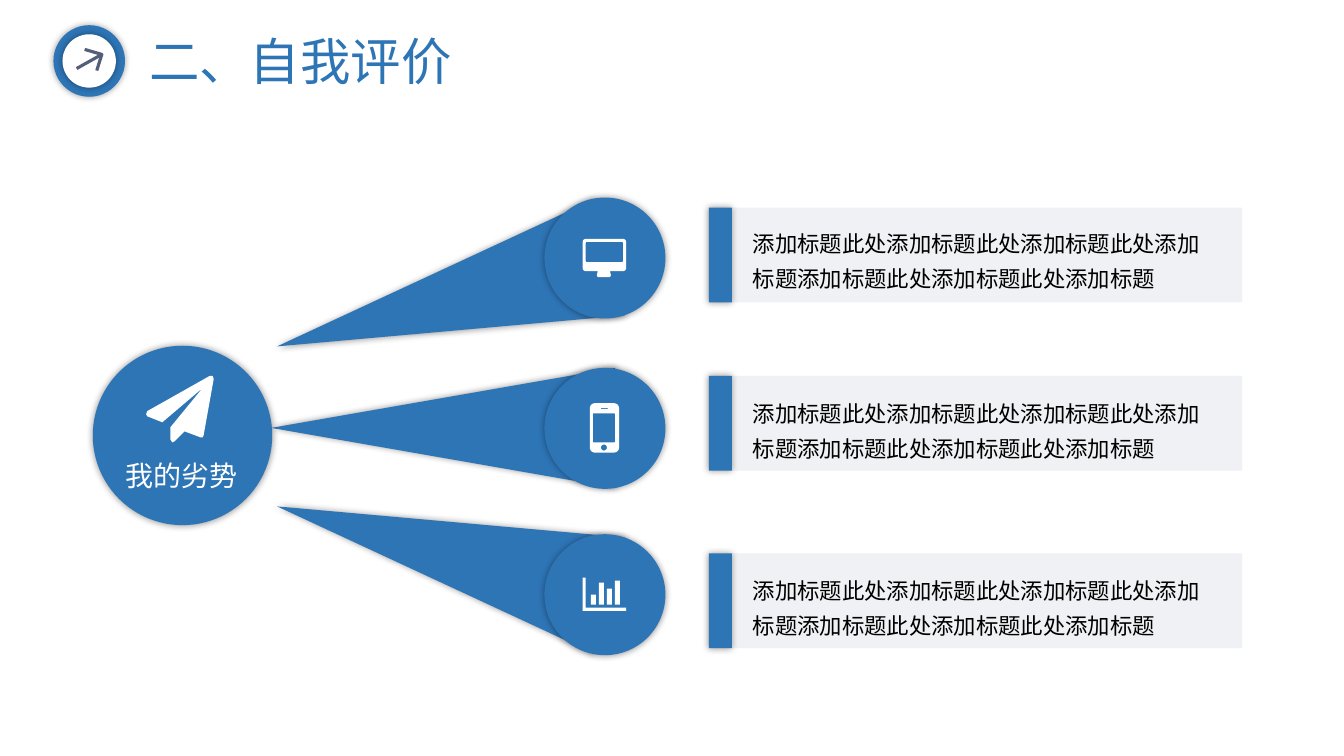
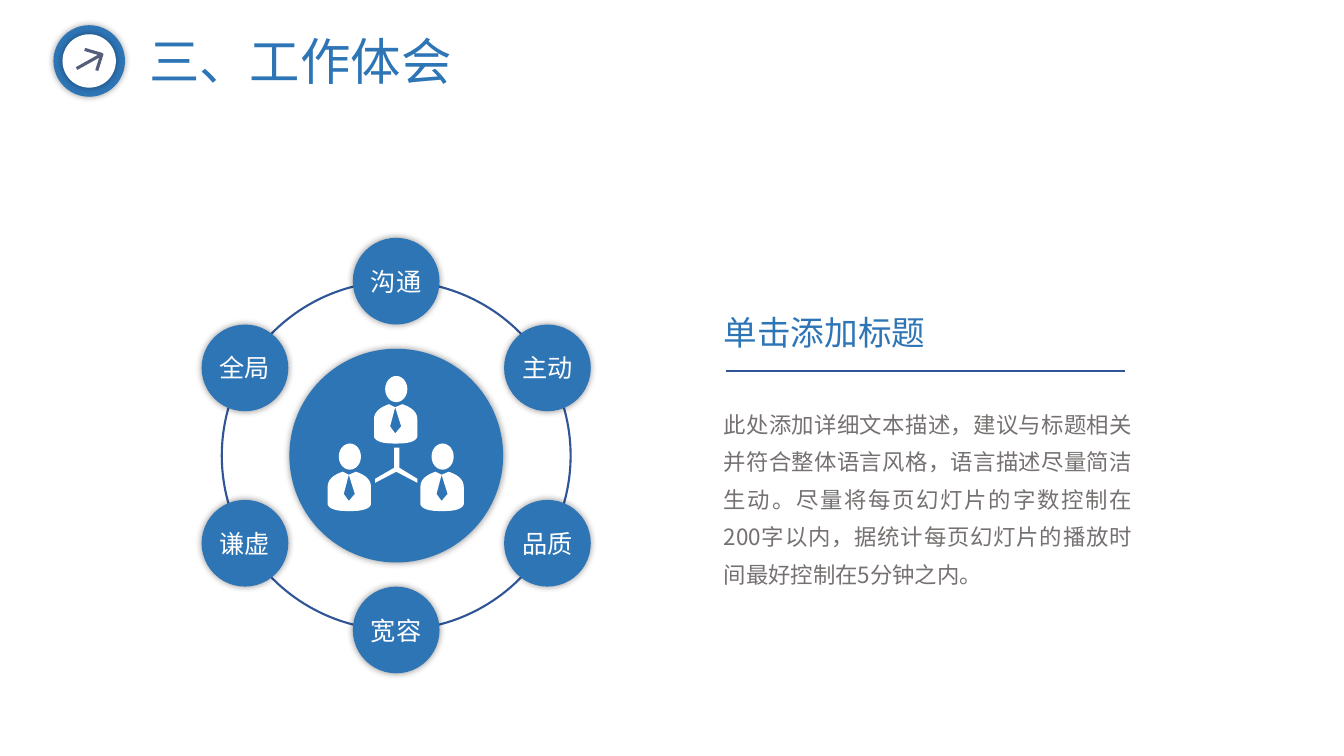
"""Builds the self-evaluation and work-experience slides."""
import math
from dataclasses import dataclass
from typing import Optional

from lxml import etree
from pptx import Presentation
from pptx.dml.color import RGBColor
from pptx.enum import shapes, text
from pptx.oxml.ns import qn
from pptx.util import Emu, Pt

PX = 9144
Point = tuple[float, float]
Contour = list[Point]
Box = tuple[int, int, int, int]
GEO = shapes.MSO_SHAPE
ALIGN = text.PP_ALIGN


@dataclass(frozen=True)
class Theme:
    blue: str = "2E75B6"
    navy: str = "2F5597"
    slate: str = "545D79"
    panel: str = "EBEEF2"
    gray: str = "767171"
    white: str = "FFFFFF"
    black: str = "000000"
    display: str = "Noto Sans CJK JP"
    body: str = "Noto Sans CJK SC"
    latin: str = "Calibri"
    label: str = "Arial"
    title_pt: int = 36
    heading_pt: int = 24
    hub_pt: int = 20
    node_pt: int = 18
    body_pt: int = 16


T = Theme()


@dataclass(frozen=True)
class Style:
    size: int
    font: str
    color: str
    align: Optional[ALIGN] = None
    spacing: Optional[float] = None


@dataclass(frozen=True)
class Ray:
    top: int
    angle: int
    disc_top: int
    icon: list[Contour]


@dataclass(frozen=True)
class Row:
    top: int
    text_top: int


@dataclass(frozen=True)
class Node:
    label: str
    font: str


def emu(*values: float) -> list[Emu]:
    return [Emu(round(v * PX)) for v in values]


def rgb(color: str) -> RGBColor:
    return RGBColor.from_string(color)


def rect(left: float, top: float, right: float, bottom: float) -> Contour:
    return [(left, top), (right, top), (right, bottom), (left, bottom)]


def rounded(left: float, top: float, right: float, bottom: float, radius: float) -> Contour:
    corners = [(right - radius, bottom - radius), (left + radius, bottom - radius),
               (left + radius, top + radius), (right - radius, top + radius)]
    return [(x + radius * math.cos(a), y + radius * math.sin(a))
            for i, (x, y) in enumerate(corners)
            for a in (math.radians(90 * i + 15 * step) for step in range(7))]


def curve(a: Point, b: Point, c: Point, d: Point, steps: int = 10) -> Contour:
    def at(t: float, k: int) -> float:
        m = 1 - t
        return m ** 3 * a[k] + 3 * m * m * t * b[k] + 3 * m * t * t * c[k] + t ** 3 * d[k]
    return [(at(i / steps, 0), at(i / steps, 1)) for i in range(steps + 1)]


MONITOR = [rounded(578, 237, 621, 269, 3), rounded(581, 240, 618, 260, 1),
           [(593, 269), (605, 269), (606, 273), (605, 275), (593, 275), (592, 273)]]
PHONE = [rounded(585, 400, 614, 449, 5), rounded(588, 410, 610, 439, 1),
         rect(596, 405, 603, 406), rounded(596, 441, 602, 447, 3)]
BARS = [[(578, 573), (581, 573), (581, 603), (621, 603), (621, 606), (578, 606)]] + [
    rect(586 + 8 * i, top, 591 + 8 * i, 600) for i, top in enumerate((590, 578, 584, 576))]
PLANE = [[(212, 376), (202, 432), (201, 434), (199, 434), (183, 428), (173, 438), (171, 439),
          (169, 436), (169, 424), (201, 385), (161, 419), (146, 413), (145, 411), (146, 408),
          (208, 373), (211, 373)]]
TRIPOD = [[(391, 444), (396, 444), (396, 464), (414, 475), (414, 479), (393, 468),
           (372, 479), (372, 475), (391, 464)]]
TORSO = ([(28, 0), (21, 3), (27, 22), (21, 29), (16, 22), (21, 3)]
         + curve((15, 0), (9, 2), (0, 6), (0, 15))
         + curve((0, 32), (0, 32), (0, 39), (19, 39))
         + curve((24, 39), (43, 39), (43, 32), (43, 32))
         + curve((43, 15), (43, 6), (34, 2), (28, 0)))

RAYS = [Ray(129, 75, 196, MONITOR), Ray(254, 90, 365, PHONE), Ray(376, 105, 530, BARS)]
ROWS = [Row(206, 215), Row(373, 384), Row(549, 560)]
ROW_TEXT = "添加标题此处添加标题此处添加标题此处添加标题添加标题此处添加标题此处添加标题"
NODES = [Node("沟通", T.body), Node("主动", T.label), Node("品质", T.body),
         Node("宽容", T.label), Node("谦虚", T.body), Node("全局", T.label)]
PEOPLE = [(371, 401), (325, 468), (417, 468)]
DETAIL = ("此处添加详细文本描述，建议与标题相关并符合整体语言风格，语言描述尽量简洁生动。"
          "尽量将每页幻灯片的字数控制在200字以内，据统计每页幻灯片的播放时间最好控制在5分钟之内。")


def paint(sp, fill: Optional[str], line: Optional[str] = None, width: float = 1,
          shadow: bool = False, alpha: int = 100) -> None:
    sp.shadow.inherit = False
    if fill:
        sp.fill.solid()
        sp.fill.fore_color.rgb = rgb(fill)
        if alpha < 100:
            color = sp._element.spPr.find(qn("a:solidFill")).find(qn("a:srgbClr"))
            etree.SubElement(color, qn("a:alpha"), val=str(alpha * 1000))
    else:
        sp.fill.background()
    if line:
        sp.line.color.rgb = rgb(line)
        sp.line.width = Pt(width)
    else:
        sp.line.fill.background()
    if shadow:
        effects = sp._element.spPr.find(qn("a:effectLst"))
        outer = etree.SubElement(effects, qn("a:outerShdw"), blurRad=str(Pt(5)), dist="0",
                                 algn="ctr", rotWithShape="0")
        color = etree.SubElement(outer, qn("a:srgbClr"), val=T.black)
        etree.SubElement(color, qn("a:alpha"), val="40000")


def add_preset(s, kind: GEO, box: Box, fill: Optional[str] = T.blue, **look):
    sp = s.shapes.add_shape(kind, *emu(*box))
    paint(sp, fill, **look)
    return sp


def add_outline(s, contours: list[Contour], fill: Optional[str] = T.white,
                closed: bool = True, **look) -> None:
    builder = None
    for contour in contours:
        start, *rest = [tuple(emu(*point)) for point in contour]
        if builder is None:
            builder = s.shapes.build_freeform(*start, scale=1.0)
        else:
            builder.move_to(*start)
        builder.add_line_segments(rest, close=closed)
    paint(builder.convert_to_shape(), fill, **look)


def add_line(s, start: Point, end: Point, color: str, width: float) -> None:
    line = s.shapes.add_connector(shapes.MSO_CONNECTOR.STRAIGHT, *emu(*start, *end))
    line.line.color.rgb = rgb(color)
    line.line.width = Pt(width)
    etree.SubElement(line._element.spPr, qn("a:effectLst"))


def write(tf, content: str, style: Style) -> None:
    p = tf.paragraphs[0]
    p.alignment = style.align
    p.line_spacing = style.spacing
    r = p.add_run()
    r.text = content
    r.font.size = Pt(style.size)
    r.font.color.rgb = rgb(style.color)
    r.font.name = style.font
    east = T.display if style.font == T.display else T.body
    etree.SubElement(r._r.get_or_add_rPr(), qn("a:ea"), typeface=east)


def no_margins(tf) -> None:
    tf.margin_left = tf.margin_top = tf.margin_right = tf.margin_bottom = 0


def add_text(s, box: Box, content: str, style: Style, wrap: bool = True):
    tf = s.shapes.add_textbox(*emu(*box)).text_frame
    tf.word_wrap = wrap
    tf.auto_size = text.MSO_AUTO_SIZE.SHAPE_TO_FIT_TEXT
    write(tf, content, style)
    return tf


def titled_slide(prs, title: str):
    s = prs.slides.add_slide(prs.slide_layouts[6])
    add_preset(s, GEO.OVAL, (53, 25, 71, 71), shadow=True)
    add_preset(s, GEO.OVAL, (62, 34, 53, 53), T.white, shadow=True)
    add_outline(s, [[(84, 49), (101, 54), (96, 70)]], None, closed=False,
                line=T.slate, width=2.25)
    add_line(s, (76, 68), (101, 54), T.slate, 2.25)
    add_text(s, (138, 25, 568, 71), title, Style(T.title_pt, T.display, T.blue))
    return s


def weaknesses(prs) -> None:
    s = titled_slide(prs, "二、自我评价")
    for ray in RAYS:
        beam = add_preset(s, GEO.FLOWCHART_MERGE, (380, ray.top, 119, 341), shadow=True)
        beam.rotation = ray.angle
        add_preset(s, GEO.OVAL, (540, ray.disc_top, 120, 120), shadow=True)
        add_outline(s, ray.icon)
    add_preset(s, GEO.OVAL, (92, 343, 178, 178), shadow=True)
    add_outline(s, PLANE)
    no_margins(add_text(s, (107, 455, 147, 34), "我的劣势",
                        Style(T.hub_pt, T.display, T.white, ALIGN.CENTER)))
    for row in ROWS:
        add_preset(s, GEO.RECTANGLE, (725, row.top, 507, 94), T.panel, alpha=80)
        add_preset(s, GEO.RECTANGLE, (703, row.top, 23, 94), shadow=True)
        add_text(s, (737, row.text_top, 484, 77), ROW_TEXT,
                 Style(T.body_pt, T.latin, T.black, spacing=1.3))


def experience(prs) -> None:
    s = titled_slide(prs, "三、工作体会")
    add_text(s, (708, 392, 425, 199), DETAIL,
             Style(T.body_pt, T.body, T.gray, ALIGN.JUSTIFY, 1.4))
    add_text(s, (708, 305, 222, 50), "单击添加标题",
             Style(T.heading_pt, T.display, T.blue), wrap=False)
    add_line(s, (720, 368), (1116, 368), T.navy, 1)

    add_preset(s, GEO.OVAL, (287, 346, 212, 212), shadow=True)
    for left, top in PEOPLE:
        add_outline(s, [[(left + x, top + y) for x, y in TORSO]])
        add_preset(s, GEO.OVAL, (left + 11, top - 28, 22, 26), T.white)
    add_outline(s, TRIPOD)

    cx, cy, radius, size = 393, 452, 173, 86
    add_preset(s, GEO.OVAL, (cx - radius, cy - radius, 2 * radius, 2 * radius), None,
               line=T.navy, width=1.5)
    for i, node in enumerate(NODES):
        angle = math.tau * i / len(NODES)
        left = round(cx + radius * math.sin(angle) - size / 2)
        top = round(cy - radius * math.cos(angle) - size / 2)
        tf = add_preset(s, GEO.OVAL, (left, top, size, size), shadow=True).text_frame
        no_margins(tf)
        tf.vertical_anchor = text.MSO_ANCHOR.MIDDLE
        write(tf, node.label, Style(T.node_pt, node.font, T.white, ALIGN.CENTER))


def main() -> None:
    prs = Presentation()
    prs.slide_width, prs.slide_height = emu(1333, 750)
    weaknesses(prs)
    experience(prs)
    prs.save("out.pptx")


if __name__ == "__main__":
    main()
